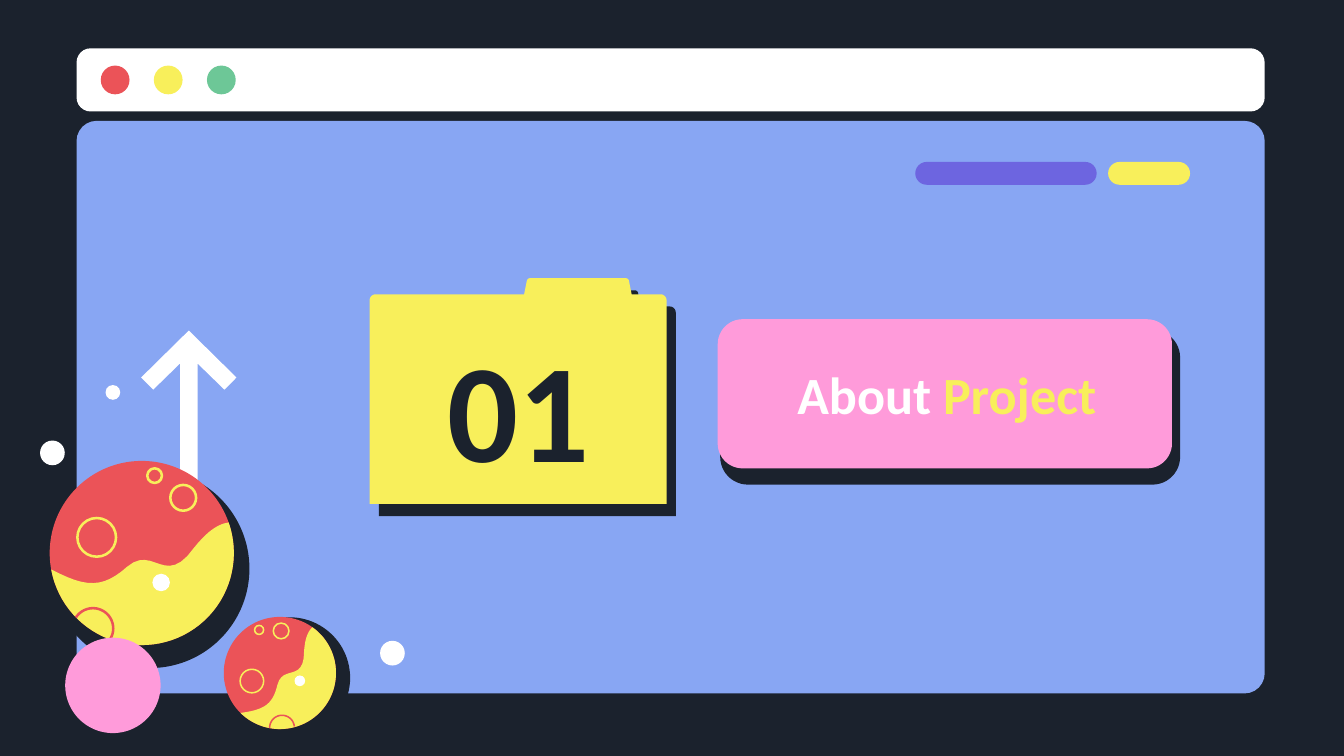
import math
import lxml.etree
import pptx
import pptx.dml.color
import pptx.enum.shapes
import pptx.enum.text
import pptx.oxml.ns
import pptx.util

COLS, ROWS = 100, 56.25
CELL = pptx.util.Inches(0.1)
DARK, BLUE, WHITE, YELLOW = "1B222D", "88A6F3", "FFFFFF", "F8EF5B"
RED, GREEN, PURPLE, PINK = "EB5358", "6DC797", "6D65E0", "FF9BDA"
OVAL = pptx.enum.shapes.MSO_SHAPE.OVAL
ROUND = pptx.enum.shapes.MSO_SHAPE.ROUNDED_RECTANGLE


def rgb(color):
    return pptx.dml.color.RGBColor.from_string(color)


def grid(*cells):
    return [round(c * CELL) for c in cells]


def paint(sp, fill=None, line=None, width=1):
    sp.shadow.inherit = False
    if fill:
        sp.fill.solid()
        sp.fill.fore_color.rgb = rgb(fill)
    else:
        sp.fill.background()
    if line:
        sp.line.color.rgb = rgb(line)
        sp.line.width = pptx.util.Pt(width)
    else:
        sp.line.fill.background()
    return sp


def rounded(s, box, corner, fill, line=None, width=1):
    sp = s.shapes.add_shape(ROUND, *grid(*box))
    sp.adjustments[0] = corner
    return paint(sp, fill, line, width)


def circle(s, x, y, radius, fill=None, line=None, width=1):
    box = grid(x - radius, y - radius, 2 * radius, 2 * radius)
    return paint(s.shapes.add_shape(OVAL, *box), fill, line, width)


def outline(s, points, closed=True):
    points = [grid(*pt) for pt in points]
    fb = s.shapes.build_freeform(*points[0])
    fb.add_line_segments(points[1:], close=closed)
    return fb.convert_to_shape()


def trace(start, *steps):
    points = [start]
    for step in steps:
        if len(step) == 2:
            points.append(step)
            continue
        ends = [points[-1], step[:2], step[2:4], step[4:]]
        for i in range(1, 13):
            t = i / 12
            weights = ((1 - t) ** 3, 3 * t * (1 - t) ** 2, 3 * t * t * (1 - t), t ** 3)
            points.append(tuple(sum(k * e[axis] for k, e in zip(weights, ends)) for axis in (0, 1)))
    return points


def arc(x, y, radius, first, last, count=48):
    angles = [math.radians(first + (last - first) * i / count) for i in range(count + 1)]
    return [(x + radius * math.cos(a), y + radius * math.sin(a)) for a in angles]


def label(s, box, size, runs):
    tf = s.shapes.add_textbox(*grid(*box)).text_frame
    tf.word_wrap = True
    tf.vertical_anchor = pptx.enum.text.MSO_ANCHOR.MIDDLE
    tf.margin_left = tf.margin_right = tf.margin_top = tf.margin_bottom = CELL
    p = tf.paragraphs[0]
    p.alignment = pptx.enum.text.PP_ALIGN.CENTER
    for text, color in runs:
        r = p.add_run()
        r.text = text
        r.font.name = "Calibri"
        r.font.size = pptx.util.Pt(size)
        r.font.bold = True
        r.font.color.rgb = rgb(color)


def window(s, x, y, w, h):
    bar = 4.7
    rounded(s, (x, y + 5.4, w, h - 5.4), 0.035, BLUE)
    rounded(s, (x, y, w, bar), 0.223, WHITE)
    for i, color in enumerate((RED, YELLOW, GREEN)):
        circle(s, x + 2.87 + 3.95 * i, y + bar / 2, 1.07, color)
    for left, width, color in ((62.4, 13.5, PURPLE), (76.75, 6.1, YELLOW)):
        rounded(s, (x + left, y + 8.45, width, 1.7), 0.5, color)


def arrow(s, x, y, w, h):
    mid, stem, barb, reach = x + w / 2, 0.65, 0.9, 3.5
    half = [(stem, h), (stem, 2.45), (w / 2 - barb, reach + barb), (w / 2, reach)]
    left = [(mid - dx, y + dy) for dx, dy in half]
    right = [(mid + dx, y + dy) for dx, dy in reversed(half)]
    paint(outline(s, left + [(mid, y)] + right), WHITE)


def folder(s, x, y, w, h):
    top, curve, tab, tab_end = 1.2, 0.45, 11.5, 19.5
    points = trace(
        (w, top + curve), (w, h), (0, h), (0, top + curve),
        (0, top + 0.2, 0.2, top, curve, top),
        (tab, top), (tab + 0.2, 0.2),
        (tab + 0.22, 0.1, tab + 0.3, 0, tab + 0.45, 0),
        (tab_end - 0.45, 0),
        (tab_end - 0.3, 0, tab_end - 0.22, 0.1, tab_end - 0.2, 0.2),
        (tab_end, top), (w - curve, top),
        (w - 0.2, top, w, top + 0.2, w, top + curve))
    sp = paint(outline(s, [(x + px, y + py) for px, py in points]), YELLOW)
    effects = sp._element.spPr.find(pptx.oxml.ns.qn("a:effectLst"))
    shadow = lxml.etree.SubElement(
        effects, pptx.oxml.ns.qn("a:outerShdw"),
        blurRad="0", dist=str(pptx.util.Pt(8.2)), dir=str(53 * 60000),
        algn="bl", rotWithShape="0")
    lxml.etree.SubElement(shadow, pptx.oxml.ns.qn("a:srgbClr"), val=DARK)
    label(s, (x + 2.6, y + 4.6, 17, 9.9), 75, [("01", DARK)])


def title_card(s, x, y, w, h):
    rounded(s, (x + 0.4, y + 1, w, h), 0.167, DARK, DARK, 3)
    rounded(s, (x, y, w, h), 0.167, PINK)
    label(s, (x + 1.1, y + 0.9, w - 1.9, h - 1.9), 28, [("About ", WHITE), ("Project", YELLOW)])


def planet(s, x, y, size, turn=0):
    radius, stroke = size / 2, size * 0.1
    cos, sin = math.cos(math.radians(turn)), math.sin(math.radians(turn))

    def place(px, py):
        return x + radius * (1 + px * cos - py * sin), y + radius * (1 + px * sin + py * cos)

    circle(s, *place(0.09, 0.17), 1.08 * radius, DARK)
    circle(s, *place(0, 0), radius, RED)
    sea = trace(
        (-0.98, 0.18),
        (-0.6, 0.38, -0.42, 0.38, -0.16, 0.15),
        (0.13, -0.1, 0.25, 0.39, 0.57, -0.06),
        (0.73, -0.26, 0.85, -0.32, 0.94, -0.33))
    shore = arc(0, 0, 1, -19.5, 169.5)
    paint(outline(s, [place(*pt) for pt in sea + shore]), YELLOW)
    for px, py, ring in ((-0.49, -0.17, 0.21), (0.45, -0.6, 0.14), (0.14, -0.84, 0.08)):
        circle(s, *place(px, py), ring * radius, None, YELLOW, stroke)
    crater = arc(-0.53, 0.82, 0.22, 213, 390)
    paint(outline(s, [place(*pt) for pt in crater], False), None, RED, stroke)
    circle(s, *place(0.21, 0.32), 0.095 * radius, WHITE)


def sky(s, x, y):
    planet(s, x + 0.7, y + 5.6, 13.7)
    circle(s, x + 5.4, y + 22.3, 3.55, PINK)
    planet(s, x + 13.65, y + 17.2, 8.35, -35.2)
    for dx, dy, radius in ((0.9, 5, 0.92), (26.2, 19.9, 0.92), (5.4, 0.5, 0.55)):
        circle(s, x + dx, y + dy, radius, WHITE)


def main():
    prs = pptx.Presentation()
    prs.slide_width, prs.slide_height = grid(COLS, ROWS)
    s = prs.slides.add_slide(prs.slide_layouts[6])
    s.background.fill.solid()
    s.background.fill.fore_color.rgb = rgb(DARK)
    window(s, 5.7, 3.6, 88.4, 48)
    arrow(s, 10.5, 24.6, 7.1, 18.3)
    title_card(s, 53.4, 23.75, 33.8, 11.1)
    folder(s, 27.5, 20.7, 22.1, 16.8)
    sky(s, 3, 28.7)
    prs.save("out.pptx")


if __name__ == "__main__":
    main()
